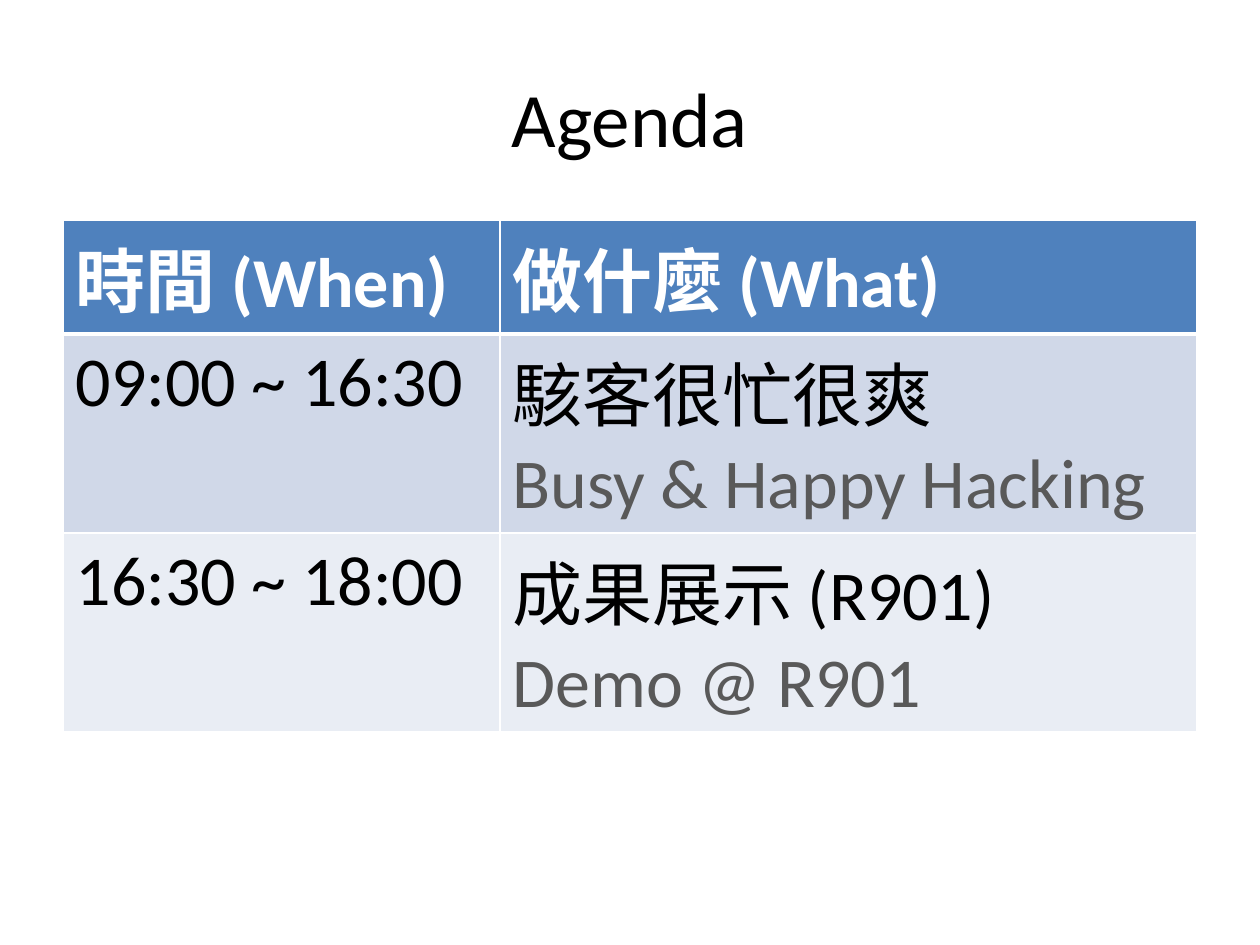
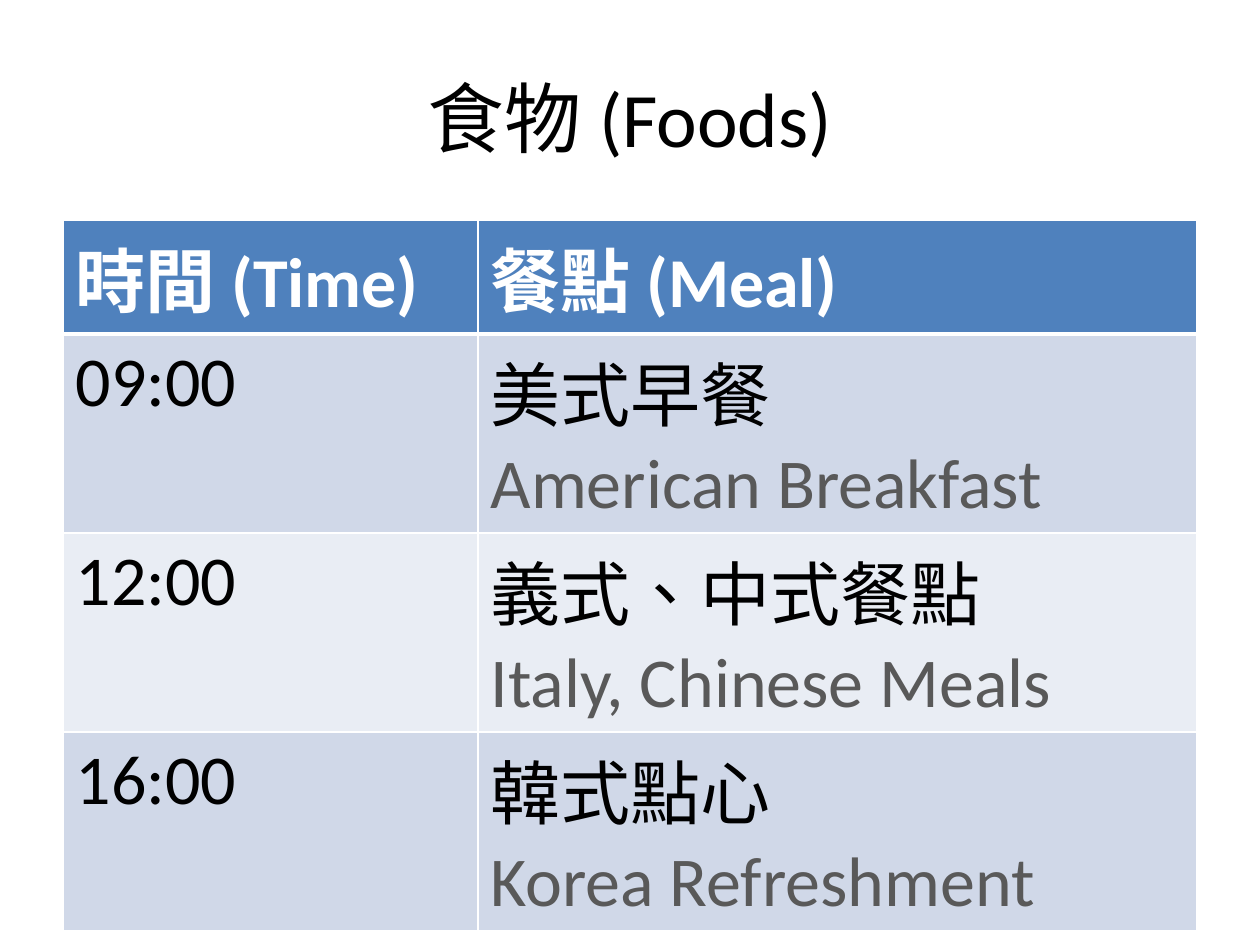
"""Build the agenda and foods slides, each a title above a two-column timetable."""
import pptx
import pptx.dml.color
import pptx.enum.lang
import pptx.enum.text
import pptx.oxml.ns
import pptx.util
from lxml import etree

TIMETABLES = [
    {
        "title": "Agenda",
        "columns": (437, 697),
        "header": ("時間 (When)", "做什麼 (What)"),
        "entries": [
            ("09:00 ~ 16:30", "駭客很忙很爽", "Busy & Happy Hacking"),
            ("16:30 ~ 18:00", "成果展示 (R901)", "Demo @ R901"),
        ],
    },
    {
        "title": "食物 (Foods)",
        "columns": (415, 719),
        "header": ("時間 (Time)", "餐點 (Meal)"),
        "entries": [
            ("09:00", "美式早餐", "American Breakfast"),
            ("12:00", "義式、中式餐點", "Italy, Chinese Meals"),
            ("16:00", "韓式點心", "Korea Refreshment"),
        ],
    },
]

PX_PER_INCH = 126
SLIDE_SIZE = (1260, 945)
TITLE_BOX = (63, 38, 1134, 157)
TABLE_LEFT, TABLE_TOP = 63, 220
HEADER_HEIGHT, ENTRY_HEIGHT = 114, 199

FONT = "Calibri"
LANGUAGE = pptx.enum.lang.MSO_LANGUAGE_ID.TRADITIONAL_CHINESE
TITLE_SIZE, CELL_SIZE = 44, 40
WHITE, BLACK, GRAY = "FFFFFF", "000000", "595959"
HEADER_FILL = "4F81BD"
BAND_FILLS = ("D0D8E8", "E9EDF4")
THIN, THICK = 1, 3


def px(length):
    return pptx.util.Emu(round(length * pptx.util.Inches(1) / PX_PER_INCH))


def rgb(color):
    return pptx.dml.color.RGBColor.from_string(color)


def style_span(span, size, color, bold=False):
    span.font.name = FONT
    span.font.language_id = LANGUAGE
    span.font.size = pptx.util.Pt(size)
    span.font.bold = bold
    span.font.color.rgb = rgb(color)


def add_title(page, text):
    box = page.shapes.add_textbox(*map(px, TITLE_BOX))
    frame = box.text_frame
    frame.word_wrap = True
    frame.vertical_anchor = pptx.enum.text.MSO_ANCHOR.MIDDLE
    frame.text = text
    para = frame.paragraphs[0]
    para.alignment = pptx.enum.text.PP_ALIGN.CENTER
    style_span(para.runs[0], TITLE_SIZE, BLACK)


def set_borders(cell, top, bottom):
    properties = cell._tc.get_or_add_tcPr()
    qn = pptx.oxml.ns.qn
    for side, width in (("L", THIN), ("R", THIN), ("T", top), ("B", bottom)):
        line = etree.SubElement(properties, qn(f"a:ln{side}"), w=str(pptx.util.Pt(width)))
        fill = etree.SubElement(line, qn("a:solidFill"))
        etree.SubElement(fill, qn("a:srgbClr"), val=WHITE)


def fill_cell(cell, lines, fill, colors, bold, borders):
    set_borders(cell, *borders)
    cell.fill.solid()
    cell.fill.fore_color.rgb = rgb(fill)
    cell.text_frame.text = "\v".join(lines)
    for span, color in zip(cell.text_frame.paragraphs[0].runs, colors):
        style_span(span, CELL_SIZE, color, bold)


def add_timetable(page, columns, header, entries):
    heights = [HEADER_HEIGHT] + [ENTRY_HEIGHT] * len(entries)
    table = page.shapes.add_table(
        len(heights), len(columns),
        px(TABLE_LEFT), px(TABLE_TOP), px(sum(columns)), px(sum(heights)),
    ).table
    for column, width in zip(table.columns, columns):
        column.width = px(width)
    for row, height in zip(table.rows, heights):
        row.height = px(height)
    for index, text in enumerate(header):
        fill_cell(table.cell(0, index), [text], HEADER_FILL, [WHITE], True, (THIN, THICK))
    for index, (time, *activity) in enumerate(entries):
        fill = BAND_FILLS[index % len(BAND_FILLS)]
        borders = (THIN if index else THICK, THIN)
        for column, lines in enumerate(([time], activity)):
            cell = table.cell(index + 1, column)
            fill_cell(cell, lines, fill, (BLACK, GRAY), False, borders)


def main():
    deck = pptx.Presentation()
    deck.slide_width, deck.slide_height = map(px, SLIDE_SIZE)
    for timetable in TIMETABLES:
        page = deck.slides.add_slide(deck.slide_layouts[6])
        add_title(page, timetable["title"])
        add_timetable(page, timetable["columns"], timetable["header"], timetable["entries"])
    deck.save("out.pptx")


if __name__ == "__main__":
    main()
